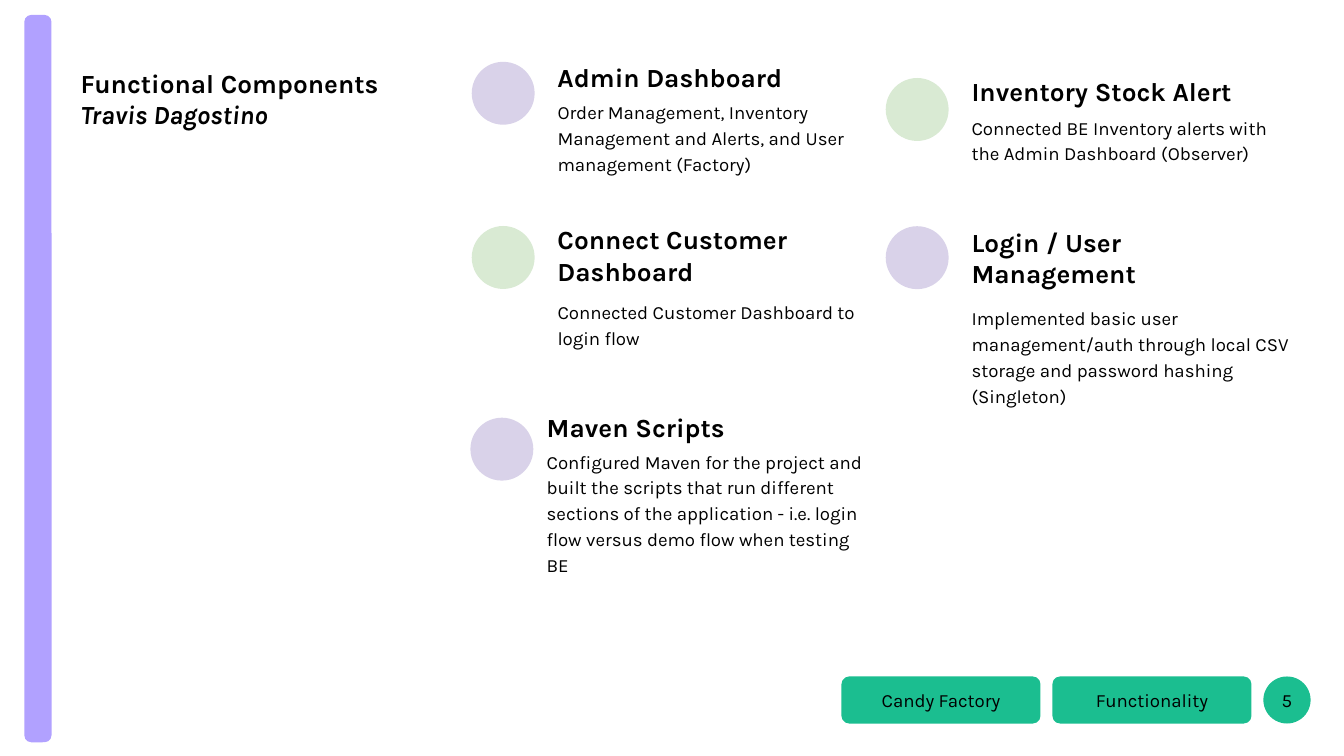
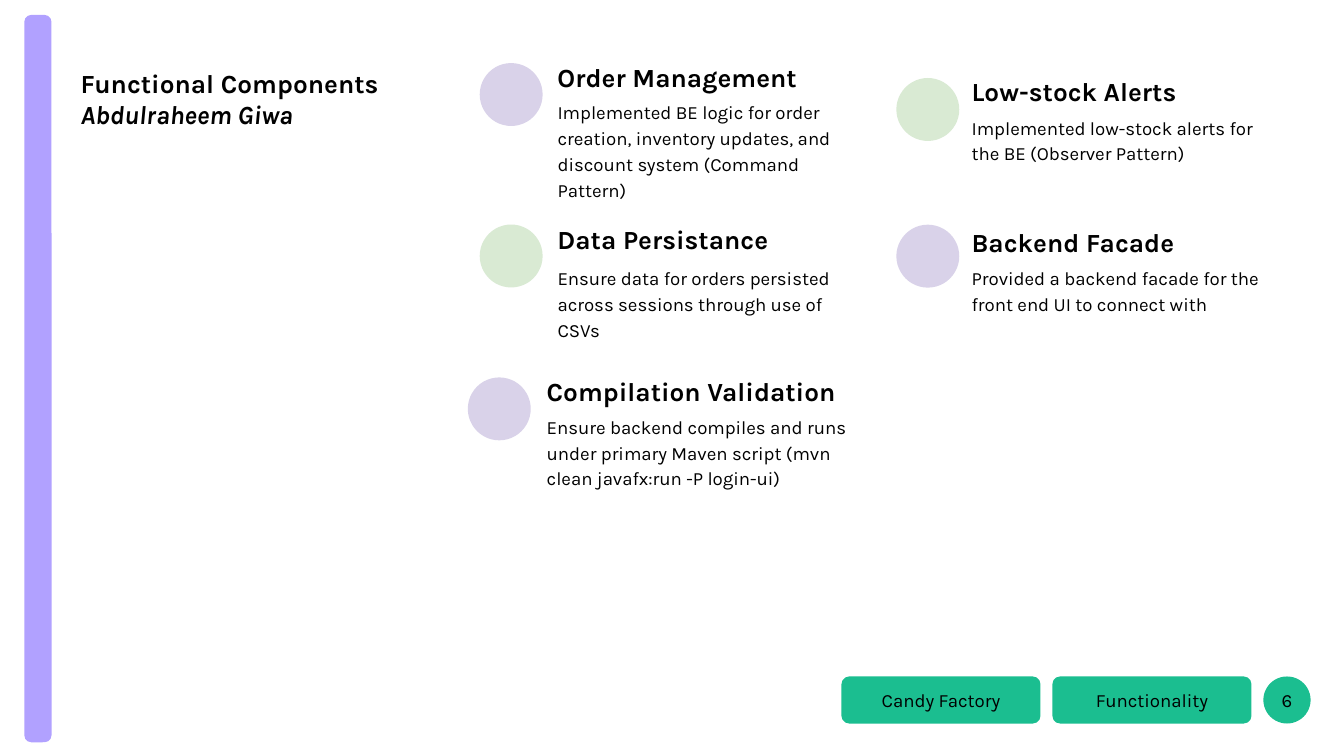
from pptx import Presentation
from pptx.util import Pt
from pptx.dml.color import RGBColor
from pptx.enum.shapes import MSO_SHAPE
from pptx.enum.text import MSO_ANCHOR, MSO_AUTO_SIZE, PP_ALIGN

HUES = {
    "ink": "000000",
    "paper": "FFFFFF",
    "band": "B1A1FF",
    "foot": "1BBE90",
    "lilac": "D9D2E9",
    "mint": "D9EAD3",
}
FONT = "Karla"
HEAD, BODY = 14, 10
INSET = 7.2
DOT = 33.7
LEFT, LOW, RIGHT = 291.6, 285.8, 513.4
SLIM, WIDE = 176.4, 188.6


def color(name):
    return RGBColor.from_string(HUES[name])


def place(item, box):
    item.left, item.top, item.width, item.height = map(Pt, box)


def setup(frame, inset=INSET, anchor=MSO_ANCHOR.TOP):
    frame.word_wrap = True
    frame.auto_size = MSO_AUTO_SIZE.NONE
    frame.vertical_anchor = anchor
    frame.margin_left = frame.margin_right = Pt(inset)
    frame.margin_top = frame.margin_bottom = Pt(inset)


def write(para, text, size, bold=False, italic=False, align=PP_ALIGN.LEFT):
    para.alignment = align
    run = para.add_run()
    run.text = text
    font = run.font
    font.name, font.size = FONT, Pt(size)
    font.bold, font.italic = bold, italic
    font.color.rgb = color("ink")


def shape(slide, kind, box, hue, adj=None):
    item = slide.shapes.add_shape(kind, *map(Pt, box))
    item.shadow.inherit = False
    item.fill.solid()
    item.fill.fore_color.rgb = color(hue)
    item.line.fill.background()
    if adj is not None:
        item.adjustments[0] = adj
    return item


def label(slide, box, text, size, bold=False):
    frame = slide.shapes.add_textbox(*map(Pt, box)).text_frame
    setup(frame)
    para = frame.paragraphs[0]
    write(para, text, size, bold)
    return para


def title(slide, box, name):
    item = slide.shapes.title
    place(item, box)
    frame = item.text_frame
    setup(frame)
    write(frame.paragraphs[0], "Functional Components", HEAD, bold=True)
    write(frame.add_paragraph(), name, HEAD, bold=True, italic=True)


def footer(slide, box, page):
    x, y, w, h = box
    tab, gap = 106.6, 6.4
    step = tab + gap
    parts = [
        (MSO_SHAPE.ROUNDED_RECTANGLE, tab, 0.163, "Candy Factory"),
        (MSO_SHAPE.ROUNDED_RECTANGLE, tab, 0.163, "Functionality"),
        (MSO_SHAPE.OVAL, w - 2 * step, None, str(page)),
    ]
    for i, (kind, wide, adj, text) in enumerate(parts):
        item = shape(slide, kind, (x + i * step, y, wide, h), "foot", adj)
        setup(item.text_frame, 0, MSO_ANCHOR.MIDDLE)
        write(item.text_frame.paragraphs[0], text, BODY, align=PP_ALIGN.CENTER)


def card(slide, box, drop, dot, hue, head, text):
    x, y, w = box
    dx, dy = dot
    shape(slide, MSO_SHAPE.OVAL, (x - dx, y + dy, DOT, DOT), hue)
    label(slide, (x, y, 176.4 if x == LOW else 158.4, 33.1), head, HEAD, True)
    para = label(slide, (x, y + drop, w, 50.4), text, BODY)
    para.line_spacing = 1.15
    para.space_after = Pt(10)


def page(deck, number, name, cards):
    slide = deck.slides.add_slide(deck.slide_layouts[5])
    slide.background.fill.solid()
    slide.background.fill.fore_color.rgb = color("paper")
    shape(slide, MSO_SHAPE.ROUNDED_RECTANGLE, (13, 8, 14.6, 389.7), "band", 0.261)
    title(slide, (36, 28.8, 182.2, 84.2), name)
    for entry in cards:
        card(slide, *entry)
    footer(slide, (450.8, 362.4, 251.3, 25.2), number)


PAGES = [
    (5, "Travis Dagostino", [
        ((LEFT, 25.9, SLIM), 19.4, (38.9, 7.2), "lilac", "Admin Dashboard",
         "Order Management, Inventory Management and Alerts, and User management (Factory)"),
        ((LEFT, 112.7, SLIM), 39.4, (38.9, 8.4), "mint", "Connect Customer Dashboard",
         "Connected Customer Dashboard to login flow"),
        ((LOW, 213, WIDE), 19.4, (33.8, 10.8), "lilac", "Maven Scripts",
         "Configured Maven for the project and built the scripts that run different "
         "sections of the application - i.e. login flow versus demo flow when testing BE"),
        ((RIGHT, 33.4, SLIM), 20, (38.9, 8.4), "mint", "Inventory Stock Alert",
         "Connected BE Inventory alerts with the Admin Dashboard (Observer)"),
        ((RIGHT, 114, WIDE), 41.6, (38.9, 7.2), "lilac", "Login / User Management",
         "Implemented basic user management/auth through local CSV storage "
         "and password hashing (Singleton)"),
    ]),
    (6, "Abdulraheem Giwa", [
        ((LEFT, 25.9, SLIM), 19.4, (34.6, 7.9), "lilac", "Order Management",
         "Implemented BE logic for order creation, inventory updates, and discount "
         "system (Command Pattern)"),
        ((LEFT, 112.7, SLIM), 21.4, (34.6, 7.6), "mint", "Data Persistance",
         "Ensure data for orders persisted across sessions through use of CSVs"),
        ((LOW, 194, WIDE), 19.8, (35.2, 8.2), "lilac", "Compilation Validation",
         "Ensure backend compiles and runs under primary Maven script "
         "(mvn clean javafx:run -P login-ui)"),
        ((RIGHT, 33.4, SLIM), 20, (33.2, 8.4), "mint", "Low-stock Alerts",
         "Implemented low-stock alerts for the BE (Observer Pattern)"),
        ((RIGHT, 114, WIDE), 20, (33.2, 6.4), "lilac", "Backend Facade",
         "Provided a backend facade for the front end UI to connect with"),
    ]),
]


def main():
    deck = Presentation()
    deck.slide_width, deck.slide_height = Pt(720), Pt(405)
    for entry in PAGES:
        page(deck, *entry)
    deck.save("out.pptx")


if __name__ == "__main__":
    main()
